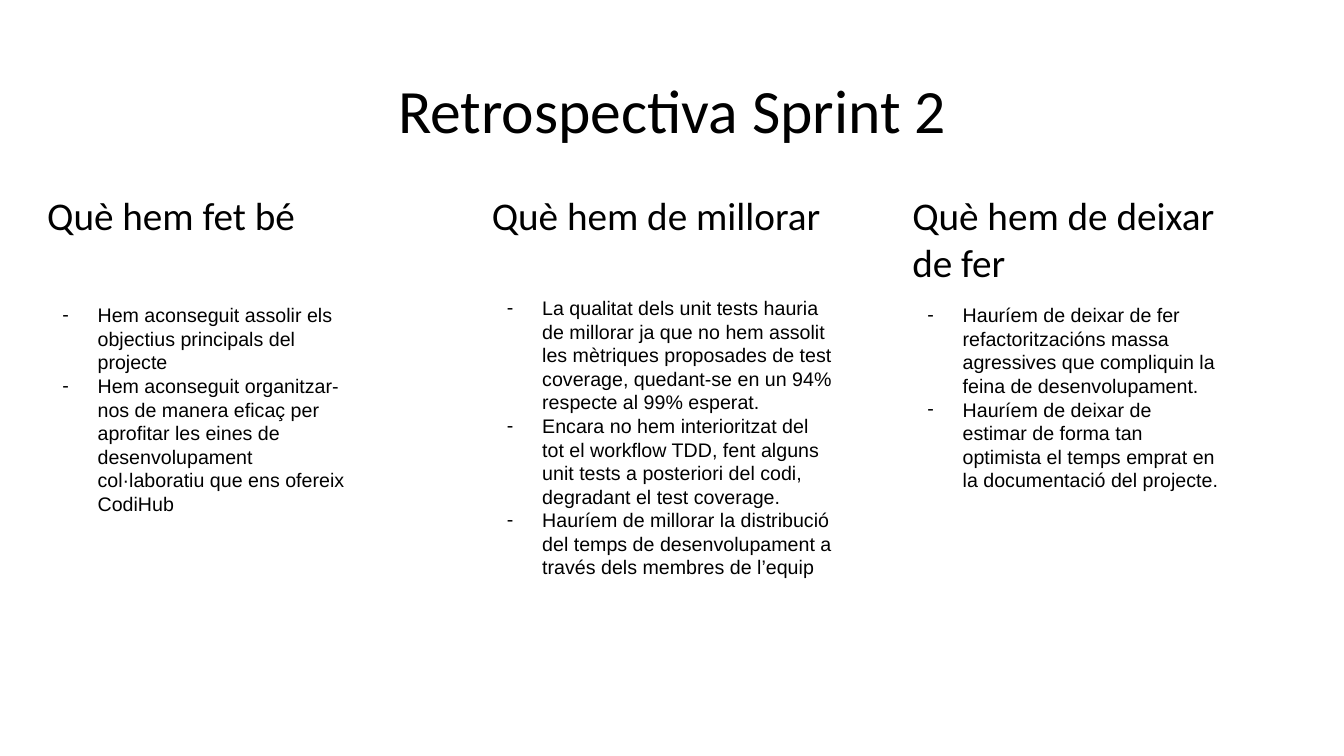
from dataclasses import dataclass

from lxml.etree import SubElement
from pptx import Presentation
from pptx.dml.color import RGBColor
from pptx.enum.shapes import MSO_SHAPE as Shape
from pptx.enum.text import MSO_ANCHOR as Anchor, PP_ALIGN as Align
from pptx.oxml.ns import qn
from pptx.util import Pt

PX = 9144
COLORS = {"text": "000000", "panel": "FFFFFF"}
PANEL_OPACITY = 66000
HEADING_TOP = 185
BODY_BOTTOM = 592


@dataclass(frozen=True)
class Column:
    left: int
    width: int
    heading: str
    heading_height: int
    body_top: int
    points: tuple[str, ...]


COLUMNS = (
    Column(37, 326, "Què hem fet bé", 71, 296, (
        "Hem aconseguit assolir els objectius principals del projecte",
        "Hem aconseguit organitzar-nos de manera eficaç per aprofitar les eines de "
        "desenvolupament col·laboratiu que ens ofereix CodiHub",
    )),
    Column(478, 357, "Què hem de millorar", 71, 289, (
        "La qualitat dels unit tests hauria de millorar ja que no hem assolit les mètriques "
        "proposades de test coverage, quedant-se en un 94% respecte al 99% esperat.",
        "Encara no hem interioritzat del tot el workflow TDD, fent alguns unit tests a "
        "posteriori del codi, degradant el test coverage.",
        "Hauríem de millorar la distribució del temps de desenvolupament a través dels "
        "membres de l’equip",
    )),
    Column(895, 326, "Què hem de deixar de fer", 96, 296, (
        "Hauríem de deixar de fer refactoritzacións massa agressives que compliquin la "
        "feina de desenvolupament.",
        "Hauríem de deixar de estimar de forma tan optimista el temps emprat en la "
        "documentació del projecte.",
    )),
)


def px(n: int) -> int:
    return n * PX


def rgb(name: str) -> RGBColor:
    return RGBColor.from_string(COLORS[name])


def add_dash(p) -> None:
    pPr = p._p.get_or_add_pPr()
    pPr.set("marL", str(px(50)))
    pPr.set("indent", str(px(-35)))
    color = SubElement(pPr, qn("a:buClr"))
    SubElement(color, qn("a:srgbClr"), val=COLORS["text"])
    SubElement(pPr, qn("a:buFont"), typeface="Arial")
    SubElement(pPr, qn("a:buChar"), char="-")


def write(sp, *lines: str, font: str, size: int, align=Align.LEFT,
          anchor=Anchor.TOP, spacing: float = 1.0, dashes: bool = False) -> None:
    tf = sp.text_frame
    tf.word_wrap = True
    tf.vertical_anchor = anchor
    tf.margin_left = tf.margin_right = px(10)
    tf.margin_top = tf.margin_bottom = px(5)
    for i, line in enumerate(lines):
        p = tf.add_paragraph() if i else tf.paragraphs[0]
        p.alignment = align
        p.line_spacing = spacing
        if dashes:
            add_dash(p)
        r = p.add_run()
        r.text = line
        r.font.name = font
        r.font.size = Pt(size)
        r.font.color.rgb = rgb("text")


def add_panel(s, left: int, top: int, width: int, height: int):
    sp = s.shapes.add_shape(Shape.RECTANGLE, px(left), px(top), px(width), px(height))
    sp.shadow.inherit = False
    sp.fill.solid()
    sp.fill.fore_color.rgb = rgb("panel")
    color = sp._element.spPr.find(qn("a:solidFill")).find(qn("a:srgbClr"))
    SubElement(color, qn("a:alpha"), val=str(PANEL_OPACITY))
    sp.line.fill.background()
    return sp


def add_column(s, col: Column) -> None:
    heading = add_panel(s, col.left, HEADING_TOP, col.width, col.heading_height)
    write(heading, col.heading, font="Calibri", size=28)
    body = add_panel(s, col.left, col.body_top, col.width, BODY_BOTTOM - col.body_top)
    write(body, *col.points, font="Arial", size=14, dashes=True)


def main() -> None:
    prs = Presentation()
    prs.slide_width, prs.slide_height = px(1333), px(750)
    s = prs.slides.add_slide(prs.slide_layouts[6])
    title = s.shapes.add_textbox(px(92), px(40), px(1150), px(145))
    write(title, "Retrospectiva Sprint 2", font="Calibri", size=44,
          align=Align.CENTER, anchor=Anchor.MIDDLE, spacing=0.9)
    for col in COLUMNS:
        add_column(s, col)
    prs.save("out.pptx")


if __name__ == "__main__":
    main()
